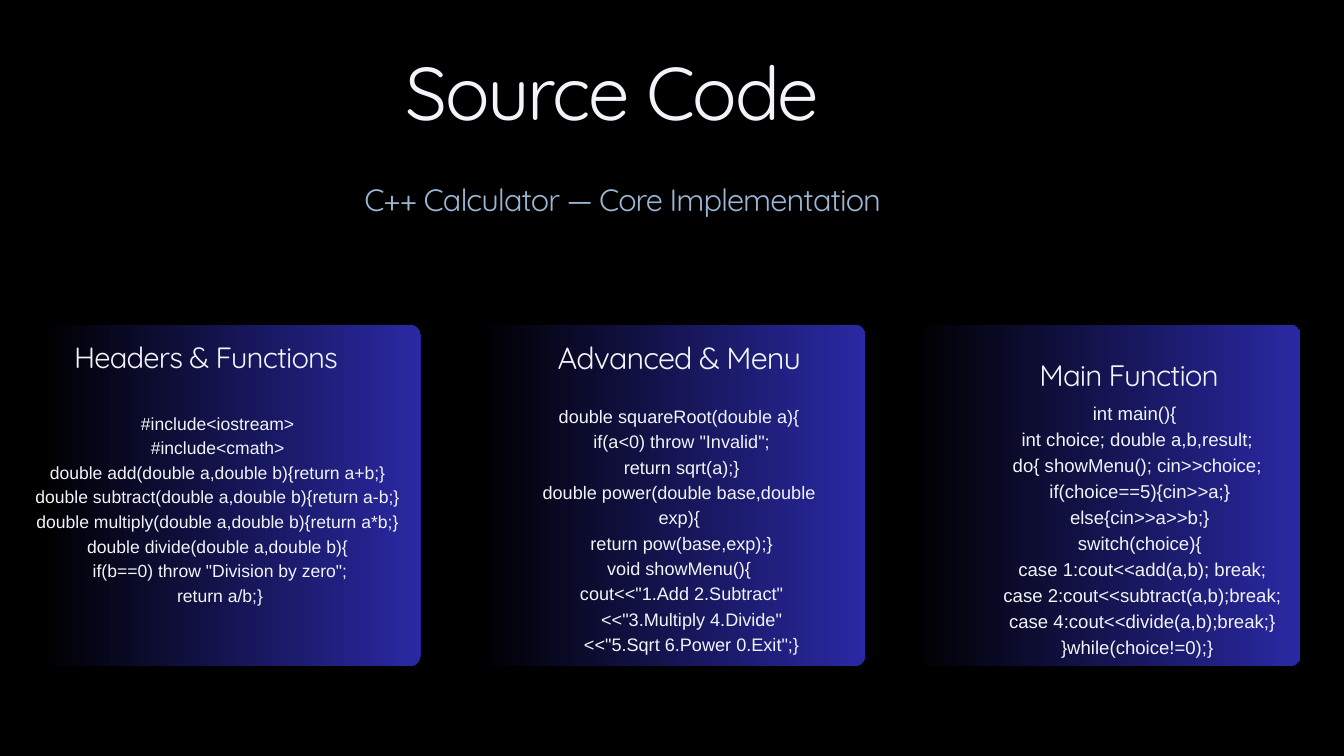
from dataclasses import dataclass

from lxml import etree
from pptx import Presentation
from pptx import util as u
from pptx.dml import color
from pptx.enum import shapes, text
from pptx.oxml import ns


@dataclass(frozen=True)
class Theme:
    background: str = "000000"
    light: str = "F1F4F8"
    muted: str = "9AB6D3"
    card_start: str = "000000"
    card_end: str = "3533CD"
    card_alpha: int = 80
    display_font: str = "Quicksand"
    code_font: str = "Arial"
    title_size: float = 80
    subtitle_size: float = 33
    heading_sizes: tuple = (31.4, 32.7, 31.7)
    code_sizes: tuple = (18.8, 19.4, 19.9)
    tracking: float = -0.03  # share of the type size


THEME = Theme()
LEFT, CENTER = text.PP_ALIGN.LEFT, text.PP_ALIGN.CENTER

# Card row, in centimetres
CARD_LEFT, CARD_PITCH = 1.5, 16.46
CARD_TOP, CARD_HEIGHT, CARD_RADIUS = 12.29, 12.88, 0.38
CODE_BOTTOM = 24.72

# Code and heading places: code (left, top, width), heading (left, top, width, height)
CARDS = [
    {
        "width": 14.38,
        "heading": "Headers & Functions",
        "heading_at": (1.5, 12.62, 12.57, 1.63),
        "heading_align": CENTER,
        "code_at": (1.12, 15.47, 14.22),
        "code": """#include<iostream>
#include<cmath>
double add(double a,double b){return a+b;}
double subtract(double a,double b){return a-b;}
double multiply(double a,double b){return a*b;}
double divide(double a,double b){
 if(b==0) throw "Division by zero";
 return a/b;}""",
    },
    {
        "width": 14.73,
        "heading": "Advanced & Menu",
        "heading_at": (18.31, 12.57, 14.73, 1.7),
        "heading_align": CENTER,
        "code_at": (20.24, 15.19, 10.87),
        "code": """double squareRoot(double a){
 if(a<0) throw "Invalid";
 return sqrt(a);}
double power(double base,double exp){
 return pow(base,exp);}
void showMenu(){
 cout<<"1.Add 2.Subtract"
     <<"3.Multiply 4.Divide"
     <<"5.Sqrt 6.Power 0.Exit";}""",
    },
    {
        "width": 14.73,
        "heading": "Main Function",
        "heading_at": (39.29, 13.26, 13.21, 1.68),
        "heading_align": LEFT,
        "code_at": (35.31, 15.06, 15.16),
        "code": """int main(){
 int choice; double a,b,result;
 do{ showMenu(); cin>>choice;
  if(choice==5){cin>>a;}
  else{cin>>a>>b;}
  switch(choice){
   case 1:cout<<add(a,b); break;
   case 2:cout<<subtract(a,b);break;
   case 4:cout<<divide(a,b);break;}
 }while(choice!=0);}""",
    },
]


def rgb(value):
    return color.RGBColor.from_string(value)


def apply(target, values):
    for name, value in values.items():
        setattr(target, name, value)


def add_text(page, place, content, size, leading, ink=THEME.light,
             font=THEME.display_font, align=LEFT, tracking=THEME.tracking):
    """Add a text box with one paragraph per line of content."""
    box = page.shapes.add_textbox(*map(u.Cm, place))
    frame = box.text_frame
    apply(frame, {
        "margin_left": 0, "margin_right": 0, "margin_top": 0, "margin_bottom": 0,
        "word_wrap": True, "auto_size": text.MSO_AUTO_SIZE.SHAPE_TO_FIT_TEXT,
    })
    for index, line in enumerate(content.split("\n")):
        para = frame.paragraphs[0] if index == 0 else frame.add_paragraph()
        apply(para, {"alignment": align, "line_spacing": u.Pt(size * leading)})
        span = para.add_run()
        span.text = line
        apply(span.font, {"name": font, "size": u.Pt(size)})
        span.font.color.rgb = rgb(ink)
        if tracking:
            span._r.get_or_add_rPr().set("spc", str(round(size * tracking * 100)))


def add_card(page, left, width):
    """Add a rounded panel with a translucent left-to-right gradient."""
    card = page.shapes.add_shape(
        shapes.MSO_SHAPE.ROUNDED_RECTANGLE,
        *map(u.Cm, (left, CARD_TOP, width, CARD_HEIGHT)))
    card.adjustments[0] = CARD_RADIUS / CARD_HEIGHT
    card.shadow.inherit = False
    card.line.fill.background()
    card.fill.gradient()
    card.fill.gradient_angle = 0
    for stop, value in zip(card.fill.gradient_stops,
                           (THEME.card_start, THEME.card_end)):
        stop.color.rgb = rgb(value)
    for tint in card._element.spPr.iter(ns.qn("a:srgbClr")):
        alpha = etree.SubElement(tint, ns.qn("a:alpha"))
        alpha.set("val", str(THEME.card_alpha * 1000))


def main():
    deck = Presentation()
    apply(deck, {"slide_width": u.Cm(50.8), "slide_height": u.Cm(28.58)})
    page = deck.slides.add_slide(deck.slide_layouts[6])
    page.background.fill.solid()
    page.background.fill.fore_color.rgb = rgb(THEME.background)

    # Title and subtitle
    add_text(page, (15.34, 2.29, 19.13, 3.4), "Source Code", THEME.title_size, 1)
    add_text(page, (13.77, 6.83, 32.54, 1.57), "C++ Calculator — Core Implementation",
             THEME.subtitle_size, 1.2, ink=THEME.muted)

    # Code cards
    for index, card in enumerate(CARDS):
        add_card(page, CARD_LEFT + index * CARD_PITCH, card["width"])
        left, top, width = card["code_at"]
        add_text(page, (left, top, width, CODE_BOTTOM - top), card["code"],
                 THEME.code_sizes[index], 1.4, font=THEME.code_font,
                 align=CENTER, tracking=0)
        add_text(page, card["heading_at"], card["heading"],
                 THEME.heading_sizes[index], 1.4, align=card["heading_align"])

    deck.save("out.pptx")


if __name__ == "__main__":
    main()
